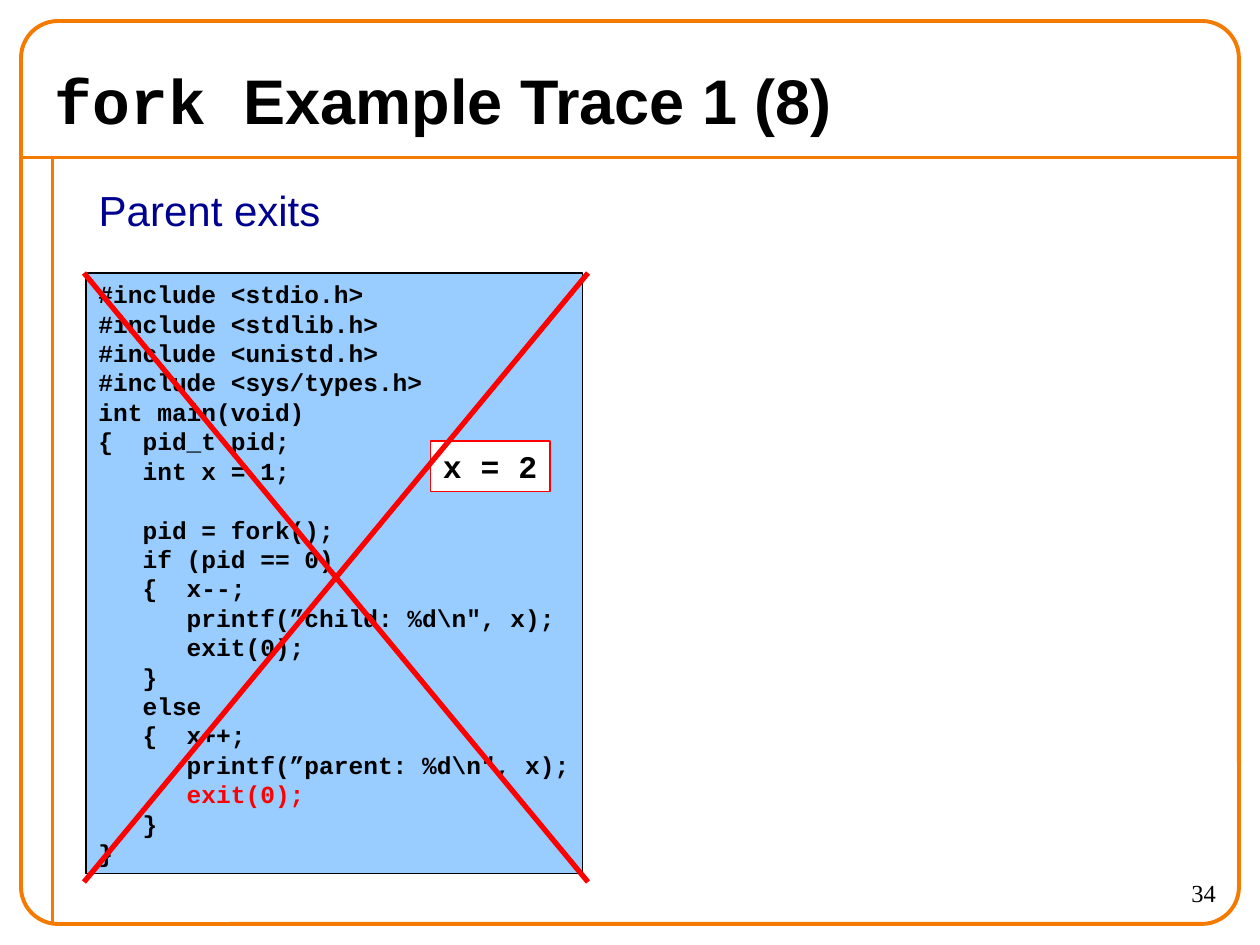
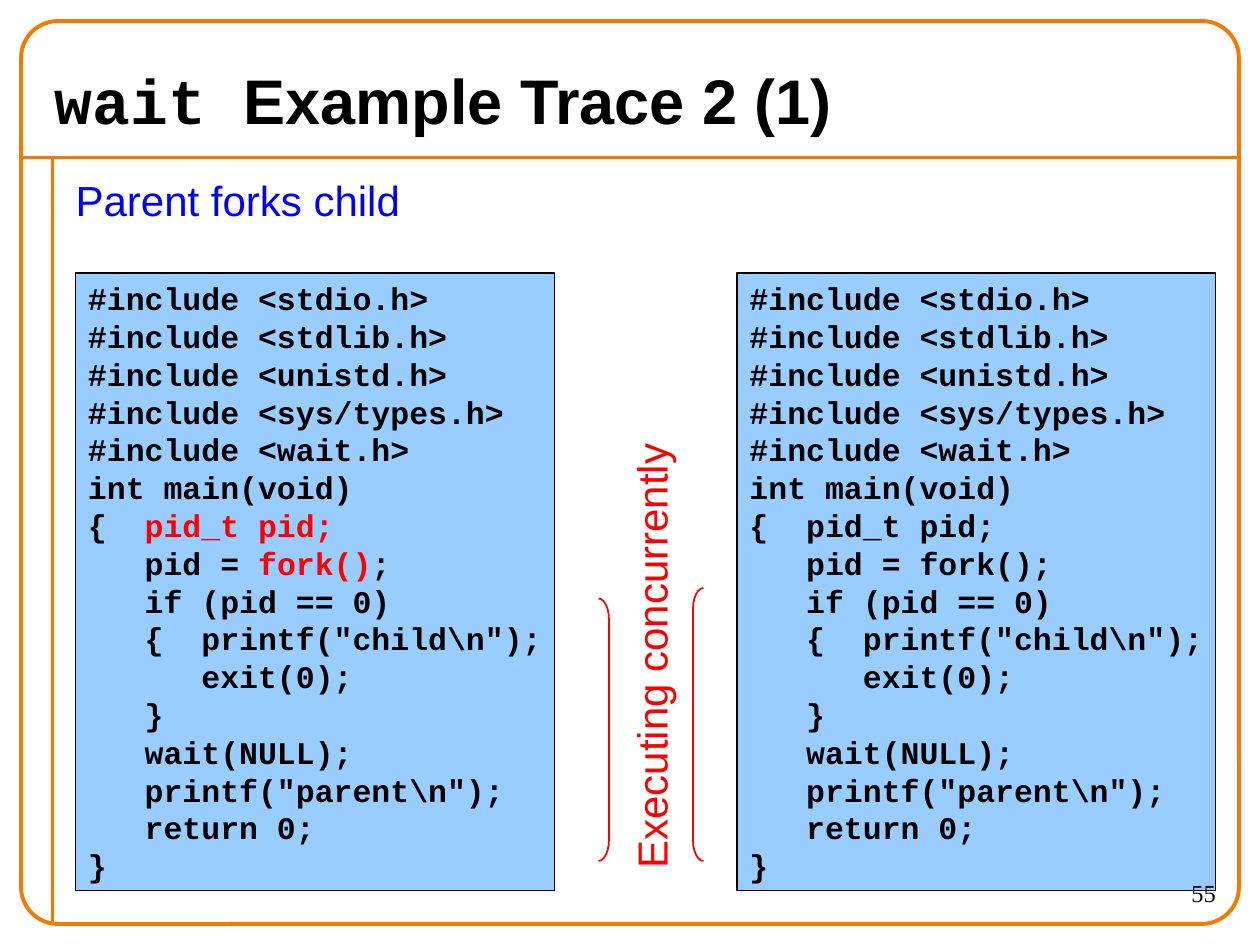
from lxml import etree
from pptx import Presentation, util as u
from pptx.dml.color import RGBColor
from pptx.enum import shapes, text
from pptx.oxml.ns import qn

# Colours and fonts
BLACK = RGBColor(0, 0, 0)
WHITE = RGBColor(255, 255, 255)
RED = RGBColor(255, 0, 0)
ORANGE = RGBColor(0xF4, 0x7A, 0)
SKY = RGBColor(0x99, 0xCC, 0xFF)
NAVY = RGBColor(0, 0, 0x90)
BLUE = RGBColor(0, 0, 255)
SANS, MONO, SERIF = "Arial", "Courier New", "Times New Roman"

# Grid: 120 columns by 90 rows
COLS, ROWS = 120, 90
LEAD = 1.2
KIND = shapes.MSO_SHAPE

# Programs; text between bars is shown in red
FORK = r'''#include <stdio.h>
#include <stdlib.h>
#include <unistd.h>
#include <sys/types.h>
int main(void)
{  pid_t pid;
   int x = 1;

   pid = fork();
   if (pid == 0)
   {  x--;
      printf(”child: %d\n", x);
      exit(0);
   }
   else
   {  x++;
      printf(”parent: %d\n", x);
|      exit(0);|
   }
}'''
WAIT = r'''#include <stdio.h>
#include <stdlib.h>
#include <unistd.h>
#include <sys/types.h>
#include <wait.h>
int main(void)
{  |pid_t pid;|
   pid = |fork()|;
   if (pid == 0)
   {  printf("child\n");
      exit(0);
   }
   wait(NULL);
   printf("parent\n");
   return 0;
}'''


class Deck:
    """Shared style and the slide being built."""

    def __init__(self):
        self.prs = Presentation()
        self.prs.slide_width, self.prs.slide_height = u.Inches(10), u.Inches(7.5)
        self.slide = None

    def grid(self, x, y):
        return (round(self.prs.slide_width * x / COLS),
                round(self.prs.slide_height * y / ROWS))

    def box(self, x, y, w, h):
        return *self.grid(x, y), *self.grid(w, h)

    def place(self, item, area):
        for key, val in zip(("left", "top", "width", "height"), self.box(*area)):
            setattr(item, key, val)

    def setup(self, frame, **more):
        form = {"auto_size": text.MSO_AUTO_SIZE.NONE, "word_wrap": True,
                "vertical_anchor": text.MSO_ANCHOR.TOP,
                "margin_left": u.Inches(0.1), "margin_right": u.Inches(0.1),
                "margin_top": u.Inches(0.05), "margin_bottom": u.Inches(0.05)}
        for key, val in {**form, **more}.items():
            setattr(frame, key, val)

    def run(self, para, words, color=BLACK, **form):
        run = para.add_run()
        run.text = words
        run.font.color.rgb = color
        for key, val in form.items():
            setattr(run.font, key, val)

    def start(self, name, rest):
        """New slide with frame and title."""
        self.slide = self.prs.slides.add_slide(self.prs.slide_layouts[1])
        self.line(2, 15, 118, 15, ORANGE, 2.25)
        self.line(5, 15, 5, 88, ORANGE, 2.25)
        self.shape(KIND.ROUNDED_RECTANGLE, (2, 2, 116, 87 - 1), ORANGE, 2.25, adj=0.041)
        title = self.slide.shapes.title
        self.place(title, (4, 5, 112, 9))
        self.setup(title.text_frame, vertical_anchor=text.MSO_ANCHOR.MIDDLE)
        para = title.text_frame.paragraphs[0]
        para.alignment = text.PP_ALIGN.LEFT
        for words, face in ((name + " ", MONO), (rest, SANS)):
            self.run(para, words, name=face, size=u.Pt(36), bold=True)

    def body(self, words, area, color):
        item = self.slide.placeholders[1]
        self.place(item, area)
        self.setup(item.text_frame)
        para = item.text_frame.paragraphs[0]
        props = para._p.get_or_add_pPr()
        for key in ("marL", "indent"):
            props.set(key, "0")
        etree.SubElement(props, qn("a:buNone"))
        para.space_before = u.Pt(0)
        self.run(para, words, color, name=SANS, size=u.Pt(24))

    def line(self, x1, y1, x2, y2, color, width):
        line = self.slide.shapes.add_connector(
            shapes.MSO_CONNECTOR.STRAIGHT, *self.grid(x1, y1), *self.grid(x2, y2))
        line.line.color.rgb = color
        line.line.width = u.Pt(width)
        etree.SubElement(line._element.spPr, qn("a:effectLst"))

    def shape(self, kind, area, color, width, fill=None, adj=None):
        item = self.slide.shapes.add_shape(kind, *self.box(*area))
        item.shadow.inherit = False
        item.line.color.rgb = color
        item.line.width = u.Pt(width)
        if fill is None:
            item.fill.background()
        else:
            item.fill.solid()
            item.fill.fore_color.rgb = fill
        if adj is not None:
            item.adjustments[0] = adj
        return item

    def code(self, lines, area, size, fill=SKY, edge=BLACK):
        item = self.shape(KIND.RECTANGLE, area, edge, 0.75, fill)
        frame = item.text_frame
        self.setup(frame, word_wrap=False)
        red = False
        for i, row in enumerate(lines.split("\n")):
            para = frame.add_paragraph() if i else frame.paragraphs[0]
            para.alignment = text.PP_ALIGN.LEFT
            para.line_spacing = u.Pt(LEAD * size)
            para.font.size = u.Pt(size)
            for j, part in enumerate(row.split("|")):
                red = j % 2 == 1
                if part:
                    self.run(para, part, RED if red else BLACK,
                             name=MONO, size=u.Pt(size), bold=True)

    def label(self, words, area, face, size, color=BLACK,
              align=text.PP_ALIGN.LEFT, turn=0):
        item = self.slide.shapes.add_textbox(*self.box(*area))
        item.rotation = turn
        self.setup(item.text_frame)
        para = item.text_frame.paragraphs[0]
        para.alignment = align
        self.run(para, words, color, name=face, size=u.Pt(size))

    def page(self, num):
        self.label(str(num), (105, 83, 12, 5), SERIF, 14, align=text.PP_ALIGN.RIGHT)


def main():
    deck = Deck()

    # Parent exits: its program is crossed out
    deck.start("fork", "Example Trace 1 (8)")
    deck.body("Parent exits", (8.2, 17, 30, 6), NAVY)
    deck.code(FORK, (8.2, 26, 47.3, 57.2), 14)
    deck.code("x = 2", (41, 42, 11.4, 4.8), 18, WHITE, RED)
    for x1, x2 in ((8, 56), (56, 8)):
        deck.line(x1, 26, x2, 84, RED, 3)
    deck.page(34)

    # Parent and child run side by side
    deck.start("wait", "Example Trace 2 (1)")
    deck.body("Parent forks child", (6, 16, 111, 72), BLUE)
    for x, lines in ((7.2, WAIT), (70.2, WAIT.replace("|", ""))):
        deck.code(lines, (x, 26, 45.6, 58.8), 18)
    deck.shape(KIND.LEFT_BRACKET, (66, 56, 1, 26), RED, 1, adj=2)
    deck.shape(KIND.RIGHT_BRACKET, (57, 57, 1, 25), RED, 1, adj=2)
    deck.label("Executing concurrently", (39.5, 58.4, 45, 6), SANS, 24, RED, turn=270)
    deck.page(55)

    deck.prs.save("out.pptx")


if __name__ == "__main__":
    main()
